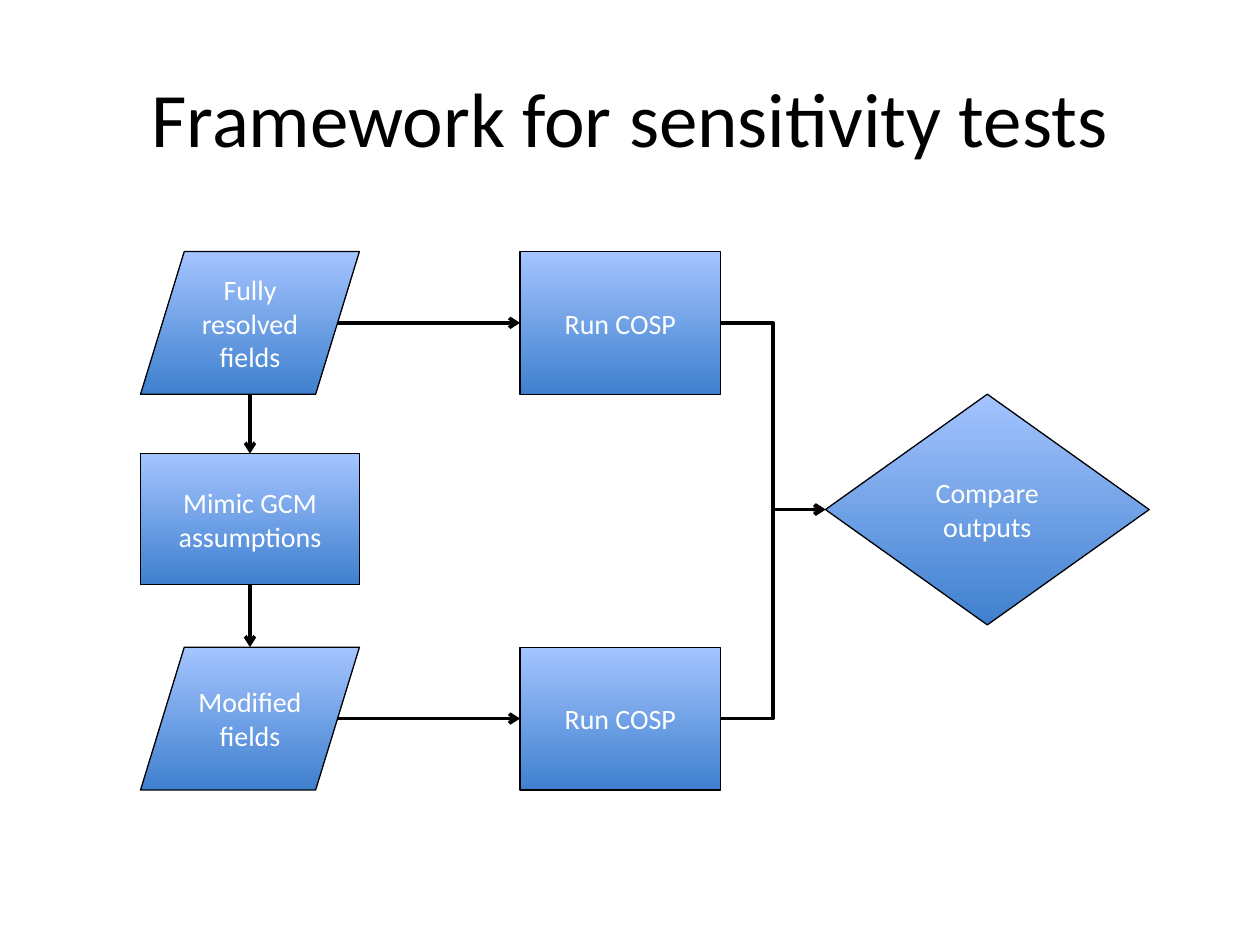
from lxml.etree import SubElement
from pptx import Presentation
from pptx.dml.color import RGBColor
from pptx.enum.shapes import MSO_CONNECTOR, MSO_SHAPE
from pptx.enum.text import MSO_ANCHOR, PP_ALIGN
from pptx.oxml.ns import qn
from pptx.util import Pt

BLACK = RGBColor(0x00, 0x00, 0x00)
WHITE = RGBColor(0xFF, 0xFF, 0xFF)
DEEP_BLUE = RGBColor(0x3F, 0x80, 0xCE)
PALE_BLUE = RGBColor(0xA4, 0xC4, 0xFF)
FONT = "Calibri"

TOP, LEFT, BOTTOM, RIGHT = range(4)
FIELD_LEFT, FIELD_WIDTH = Pt(80.3), Pt(125.1)
RUN_LEFT, RUN_WIDTH = Pt(297.2), Pt(114.5)
UPPER_TOP, LOWER_TOP, ROW_HEIGHT = Pt(143.7), Pt(369.8), Pt(81.6)


def style_font(paragraph, size, color):
    """Give a paragraph's runs the slide font, a size and a colour."""
    for run in paragraph.runs:
        run.font.name = FONT
        run.font.size = Pt(size)
        run.font.color.rgb = color


def set_title(slide, text):
    """Fill and place the title placeholder."""
    title = slide.shapes.title
    title.left, title.top, title.width, title.height = Pt(36), Pt(21.6), Pt(648), Pt(90)
    title.text_frame.text = text
    title.text_frame.vertical_anchor = MSO_ANCHOR.MIDDLE
    paragraph = title.text_frame.paragraphs[0]
    paragraph.alignment = PP_ALIGN.CENTER
    style_font(paragraph, 44, BLACK)


def add_step(slide, kind, text, left, top, width, height):
    """Add a flowchart shape with a gradient fill and a centred label."""
    shape = slide.shapes.add_shape(kind, left, top, width, height)
    shape.shadow.inherit = False
    shape.fill.gradient()
    shape.fill.gradient_angle = 90
    for stop, color, position in zip(shape.fill.gradient_stops, (DEEP_BLUE, PALE_BLUE), (0, 1)):
        stop.color.rgb = color
        stop.position = position
    shape.line.color.rgb = BLACK
    shape.line.width = Pt(0.75)
    shape.text_frame.text = text
    shape.text_frame.word_wrap = True
    shape.text_frame.vertical_anchor = MSO_ANCHOR.MIDDLE
    paragraph = shape.text_frame.paragraphs[0]
    paragraph.alignment = PP_ALIGN.CENTER
    style_font(paragraph, 16, WHITE)
    return shape


def add_arrow(slide, kind, start, end):
    """Add a black connector with an open arrowhead at its end."""
    connector = slide.shapes.add_connector(kind, *start, *end)
    connector.line.color.rgb = BLACK
    connector.line.width = Pt(2)
    SubElement(connector.line._get_or_add_ln(), qn("a:tailEnd"), type="arrow")
    SubElement(connector._element.spPr, qn("a:effectLst"))
    return connector


def side_point(shape, side):
    """Return the middle of one side, on the slanted edge of a parallelogram."""
    center_x = shape.left + shape.width // 2
    center_y = shape.top + shape.height // 2
    inset = shape.width // 10 if shape.auto_shape_type == MSO_SHAPE.FLOWCHART_DATA else 0
    return {
        TOP: (center_x, shape.top),
        LEFT: (shape.left + inset, center_y),
        BOTTOM: (center_x, shape.top + shape.height),
        RIGHT: (shape.left + shape.width - inset, center_y),
    }[side]


def link(slide, kind, source, source_side, target, target_side):
    """Connect two steps, joining the ends that meet a plain side."""
    connector = add_arrow(
        slide, kind, side_point(source, source_side), side_point(target, target_side)
    )
    if source.auto_shape_type != MSO_SHAPE.FLOWCHART_DATA:
        connector.begin_connect(source, source_side)
    if target.auto_shape_type != MSO_SHAPE.FLOWCHART_DATA:
        connector.end_connect(target, target_side)


def main():
    """Build the flowchart slide."""
    presentation = Presentation()
    presentation.slide_width, presentation.slide_height = Pt(720), Pt(540)
    slide = presentation.slides.add_slide(presentation.slide_layouts[5])
    set_title(slide, "Framework for sensitivity tests")

    data, process = MSO_SHAPE.FLOWCHART_DATA, MSO_SHAPE.FLOWCHART_PROCESS
    resolved, modified = (
        add_step(slide, data, text, FIELD_LEFT, top, FIELD_WIDTH, ROW_HEIGHT)
        for text, top in (("Fully resolved fields", UPPER_TOP), ("Modified fields", LOWER_TOP))
    )
    mimic = add_step(
        slide, process, "Mimic GCM assumptions", FIELD_LEFT, Pt(259.2), FIELD_WIDTH, Pt(74.8)
    )
    runs = [
        add_step(slide, process, "Run COSP", RUN_LEFT, top, RUN_WIDTH, ROW_HEIGHT)
        for top in (UPPER_TOP, LOWER_TOP)
    ]
    compare = add_step(
        slide, MSO_SHAPE.FLOWCHART_DECISION, "Compare outputs",
        Pt(471.7), Pt(225.3), Pt(185), Pt(131.8),
    )

    link(slide, MSO_CONNECTOR.STRAIGHT, resolved, BOTTOM, mimic, TOP)
    link(slide, MSO_CONNECTOR.STRAIGHT, mimic, BOTTOM, modified, TOP)
    for fields, run in zip((resolved, modified), runs):
        link(slide, MSO_CONNECTOR.STRAIGHT, fields, RIGHT, run, LEFT)
    for run in runs:
        link(slide, MSO_CONNECTOR.ELBOW, run, RIGHT, compare, LEFT)

    presentation.save("out.pptx")


if __name__ == "__main__":
    main()
